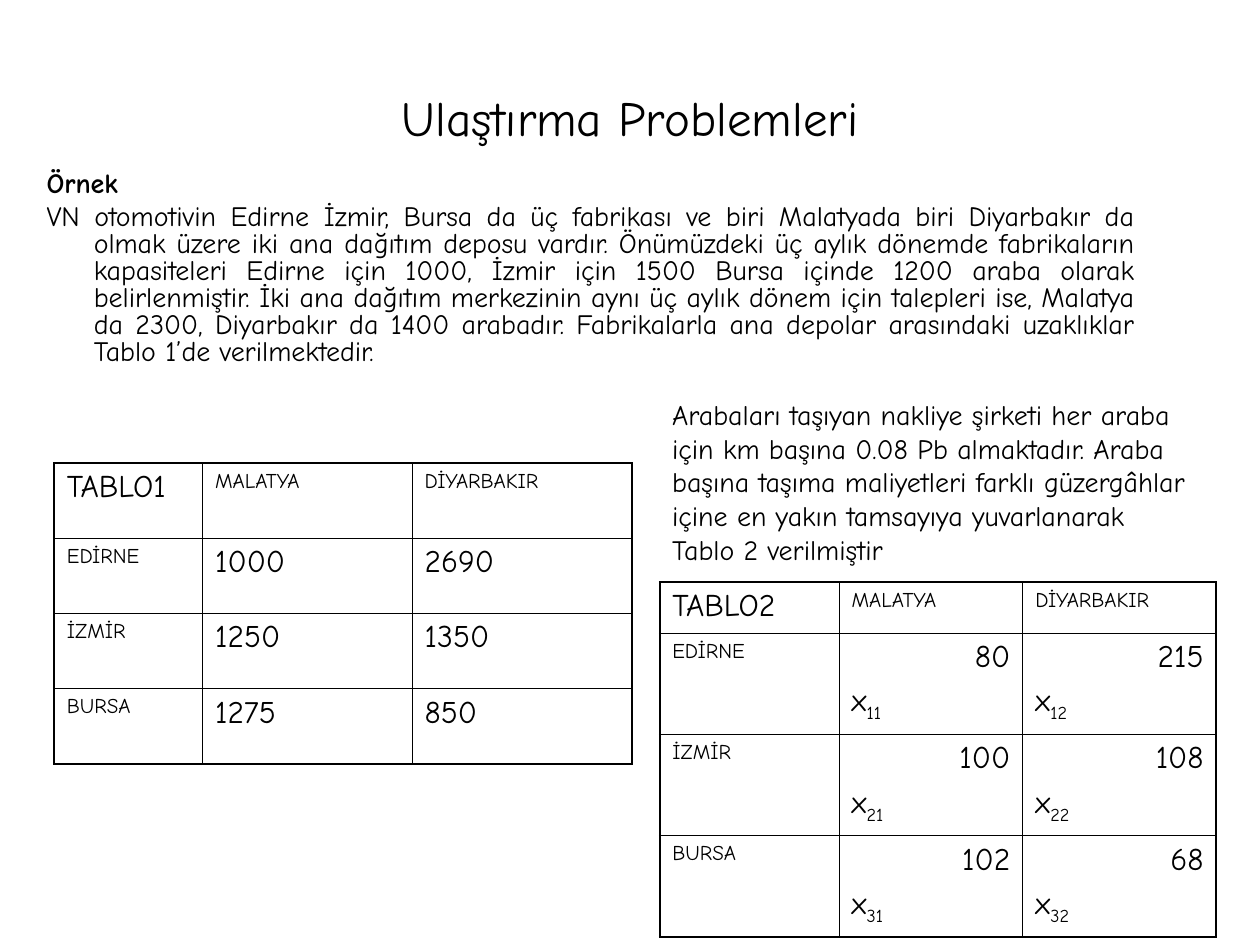
from lxml import etree
from pptx import Presentation
from pptx.dml.color import RGBColor
from pptx.enum.text import MSO_ANCHOR, PP_ALIGN
from pptx.oxml.ns import qn
from pptx.util import Pt

MIDDLE = MSO_ANCHOR.MIDDLE
LEFT, CENTER, RIGHT, JUSTIFY = PP_ALIGN.LEFT, PP_ALIGN.CENTER, PP_ALIGN.RIGHT, PP_ALIGN.JUSTIFY
FONT, BLACK = "Comic Neue", "000000"
THIN, THICK = 0.45, 1.08
CITIES = ["EDİRNE", "İZMİR", "BURSA"]
DEPOTS = ["MALATYA", "DİYARBAKIR"]
KM = [[1000, 2690], [1250, 1350], [1275, 850]]
COSTS = [[80, 215], [100, 108], [102, 68]]
STORY = (
    "VN otomotivin Edirne İzmir, Bursa da üç fabrikası ve biri Malatyada biri "
    "Diyarbakır da olmak üzere iki ana dağıtım deposu vardır. Önümüzdeki üç aylık "
    "dönemde fabrikaların kapasiteleri Edirne için 1000, İzmir için 1500 Bursa içinde "
    "1200 araba olarak belirlenmiştir. İki ana dağıtım merkezinin aynı üç aylık dönem "
    "için talepleri ise, Malatya da 2300, Diyarbakır da 1400 arabadır. Fabrikalarla "
    "ana depolar arasındaki uzaklıklar Tablo 1’de verilmektedir."
)
NOTE = (
    "Arabaları taşıyan nakliye şirketi her araba için km başına 0.08 Pb almaktadır. "
    "Araba başına taşıma maliyetleri farklı güzergâhlar içine en yakın tamsayıya "
    "yuvarlanarak Tablo 2 verilmiştir"
)


def color(code):
    """Turn a hex string into a colour."""
    return RGBColor.from_string(code)


def style(para, size, align=LEFT, before=0, bold=False):
    """Format a paragraph and its runs."""
    para.alignment = align
    para.space_before = Pt(before)
    for run in para.runs:
        font = run.font
        font.name, font.size, font.bold = FONT, Pt(size), bold
        font.color.rgb = color(BLACK)


def add_title(slide, box, text):
    """Place the slide title in its box."""
    title = slide.shapes.title
    title.left, title.top, title.width, title.height = map(Pt, box)
    frame = title.text_frame
    frame.text = text
    frame.vertical_anchor = MIDDLE
    style(frame.paragraphs[0], 28, CENTER)


def add_text(slide, box, lines):
    """Add a wrapping text box and return its frame."""
    frame = slide.shapes.add_textbox(*map(Pt, box)).text_frame
    frame.word_wrap = True
    frame.text = "\n".join(lines)
    return frame


def add_story(slide, box):
    """Add the heading and the justified problem text."""
    frame = add_text(slide, box, ["Örnek", STORY])
    for para, bold in zip(frame.paragraphs, (True, False)):
        style(para, 16, JUSTIFY, 4, bold)
        para.line_spacing = 0.8
        props = para._p.get_or_add_pPr()
        props.set("marL", str(Pt(27)))
        props.set("indent", str(Pt(-27)))


def add_note(slide, box):
    """Add the note on transport costs."""
    frame = add_text(slide, box, [NOTE])
    frame.vertical_anchor = MIDDLE
    style(frame.paragraphs[0], 16)


def set_edge(cell, side, width):
    """Draw one border of a cell."""
    props = cell._tc.get_or_add_tcPr()
    line = etree.SubElement(props, qn(f"a:ln{side}"), w=str(Pt(width)))
    fill = etree.SubElement(line, qn("a:solidFill"))
    etree.SubElement(fill, qn("a:srgbClr"), val=BLACK)


def fill_cell(cell, text, big, index):
    """Write a cell, with its variable below when it has an index."""
    frame = cell.text_frame
    frame.text = text
    size, gap = (18, 4.5) if big else (12, 3)
    style(frame.paragraphs[0], size, RIGHT if index else LEFT, gap)
    if index:
        para = frame.add_paragraph()
        para.text = "x"
        sub = para.add_run()
        sub.text = index
        style(para, size, LEFT, gap)
        sub.font._element.set("baseline", "-25000")


def add_grid(slide, box, name, values, cols, rows, indexed=False):
    """Add a table of factories against depots."""
    table = slide.shapes.add_table(len(rows), len(cols), *map(Pt, box)).table
    table.first_row = table.horz_banding = False
    for col, width in zip(table.columns, cols):
        col.width = Pt(width)
    for row, height in zip(table.rows, rows):
        row.height = Pt(height)
    data = [[name, *DEPOTS]] + [[city, *map(str, line)] for city, line in zip(CITIES, values)]
    for r, line in enumerate(data):
        for c, text in enumerate(line):
            cell = table.cell(r, c)
            inner = r > 0 and c > 0
            fill_cell(cell, text, inner or r == c, f"{r}{c}" if indexed and inner else "")
            outer = {"L": c == 0, "R": c == len(cols) - 1, "T": r == 0, "B": r == len(rows) - 1}
            for side, edge in outer.items():
                set_edge(cell, side, THICK if edge else THIN)
            cell.fill.background()


def main():
    """Build and save the slide."""
    deck = Presentation()
    deck.slide_width, deck.slide_height = Pt(720), Pt(540)
    slide = deck.slides.add_slide(deck.slide_layouts[5])
    add_title(slide, (36, 21.6, 648, 90), "Ulaştırma Problemleri")
    add_story(slide, (19.5, 94.5, 636, 121.5))
    add_grid(slide, (31, 264.5, 330, 172), "TABLO1", KM, (84.75, 119.75, 125.5), [43] * 4)
    add_note(slide, (377, 223.5, 312, 103.5))
    add_grid(slide, (377, 332.5, 318, 203), "TABLO2", COSTS, (102.5, 105, 110.5),
             [29.2] + [57.9] * 3, True)
    deck.save("out.pptx")


if __name__ == "__main__":
    main()
